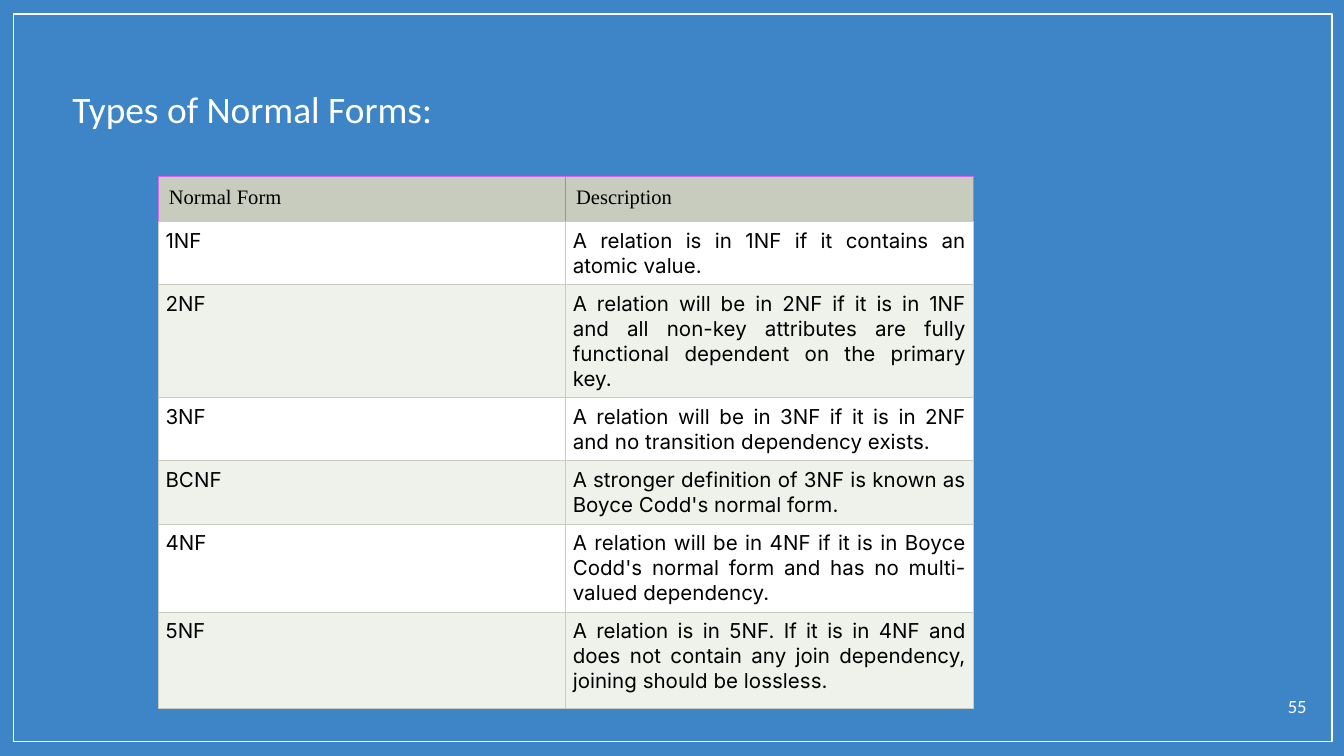
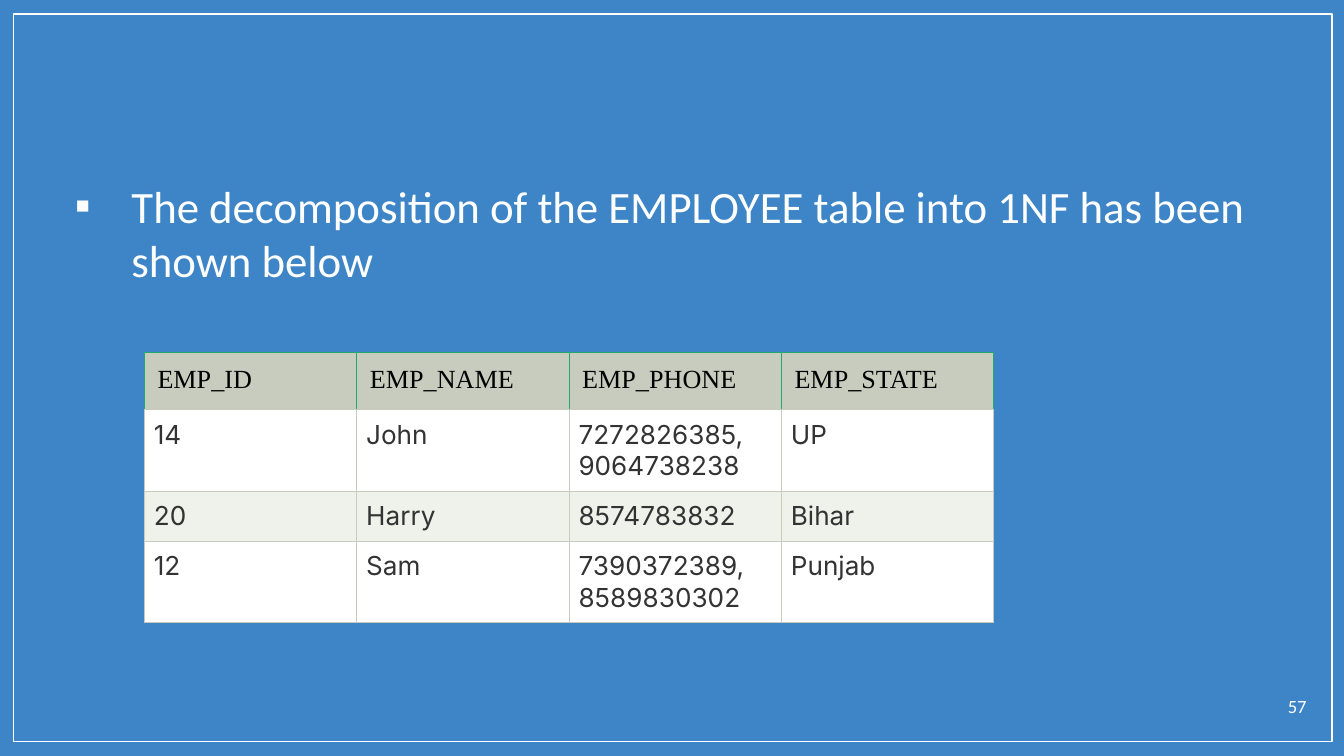
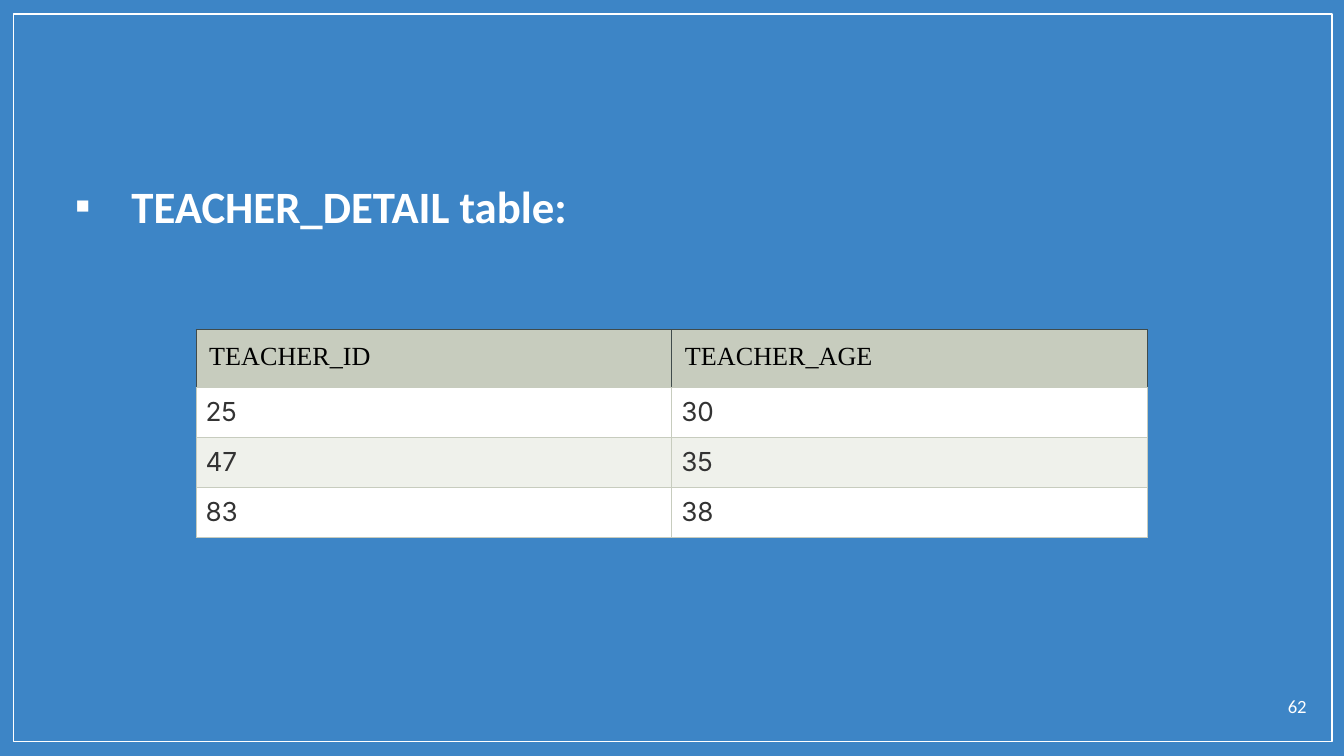
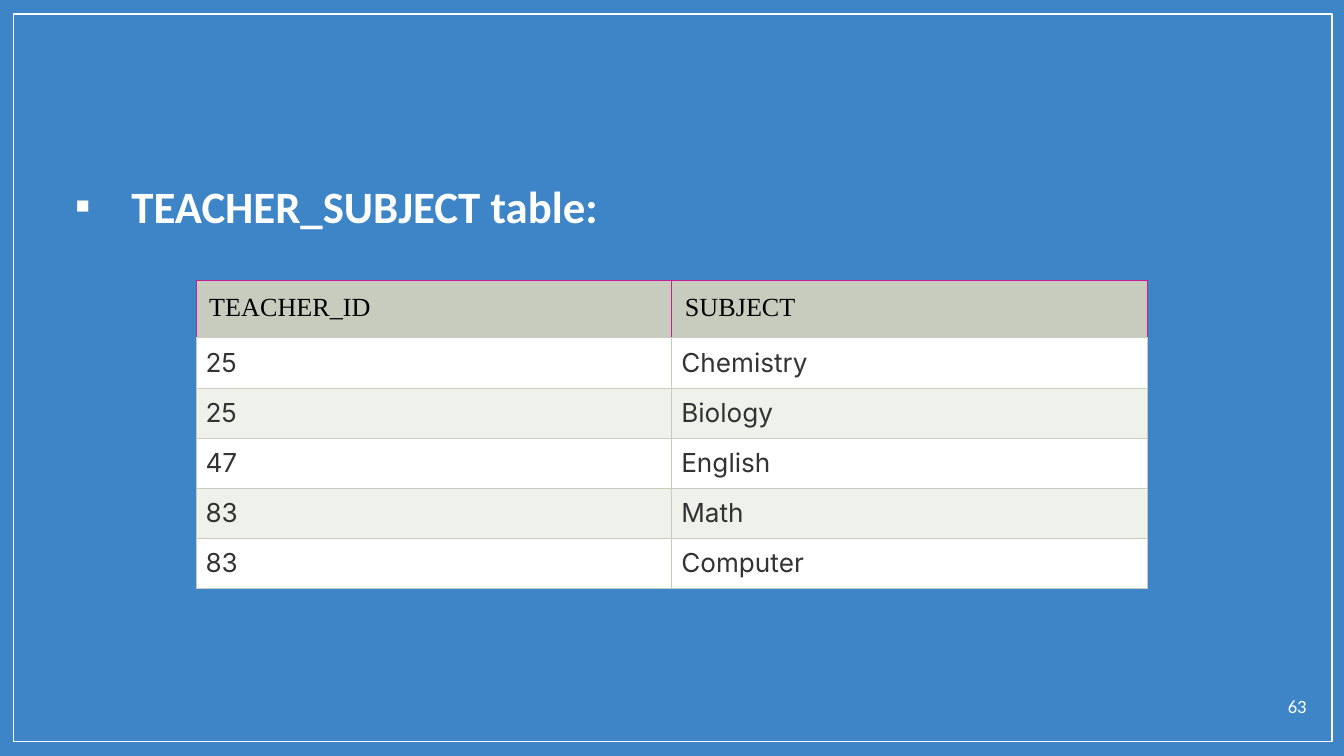
import pptx
import pptx.util
import pptx.dml.color
import pptx.enum.shapes
import pptx.enum.text
import pptx.oxml
import pptx.oxml.ns

Pt, Inches = pptx.util.Pt, pptx.util.Inches
RGB = pptx.dml.color.RGBColor.from_string
ALIGN = pptx.enum.text.PP_ALIGN
NS = pptx.oxml.ns.nsdecls("a")


class Theme:
    back, white, black, ink = "3D85C6", "FFFFFF", "000000", "333333"
    head, rows = "C7CCBE", ("FFFFFF", "EFF1EB")
    sans, serif, grid = "Calibri", "Times New Roman", "Inter"
    title, body, number = 20, 24, 10
    frame, border = 0.75, 0.6


prs = pptx.Presentation()
prs.slide_width = Inches(10)
prs.slide_height = int(prs.slide_width * 9 / 16)
COL, ROW = prs.slide_width / 100, prs.slide_height / 100
prs.slide_master.background.fill.solid()
prs.slide_master.background.fill.fore_color.rgb = RGB(Theme.back)


def write(p, text, color, **formats):
    p.text = text
    for r in p.runs:
        r.font.color.rgb = RGB(color)
        for name, value in formats.items():
            setattr(r.font, name, value)


def add_text(s, box, text, size, align=None, bold=None, bullet=False):
    x, y, w, h = box
    tf = s.shapes.add_textbox(int(x * COL), int(y * ROW), int(w * COL), int(h * ROW)).text_frame
    tf.word_wrap = True
    for side in ("left", "top", "right", "bottom"):
        setattr(tf, f"margin_{side}", Inches(0.1))
    p = tf.paragraphs[0]
    if bullet:
        pPr = p._p.get_or_add_pPr()
        pPr.set("marL", str(Inches(0.5)))
        pPr.set("indent", str(Inches(-0.42)))
        for xml in (f'<a:buClr {NS}><a:srgbClr val="{Theme.white}"/></a:buClr>',
                    f'<a:buFont {NS} typeface="{Theme.serif}"/>',
                    f'<a:buChar {NS} char="▪"/>'):
            pPr.append(pptx.oxml.parse_xml(xml))
    p.alignment = align
    write(p, text, Theme.white, name=Theme.sans, size=Pt(size), bold=bold)


title = dict(box=(4.4, 9.6, 90, 8), size=Theme.title)
body = dict(box=(3.8, 21.87, 90.7, 70.8), size=Theme.body, bullet=True)
small = dict(size=11, ink=Theme.black, head_pad=5.5, pad=3.75)
large = dict(size=14, ink=Theme.ink, head_pad=7, pad=5)

slides = [
    dict(number="55", text="Types of Normal Forms:", style=title,
         at=(11.8, 23.3), col=30.3, rows=[5.33, 7.29, 12.98, 7.29, 7.29, 10.13, 12.8],
         edge="D068E9", look=small,
         cells=[("Normal Form", "Description"),
                ("1NF", "A relation is in 1NF if it contains an atomic value."),
                ("2NF", "A relation will be in 2NF if it is in 1NF and all non-key attributes "
                        "are fully functional dependent on the primary key."),
                ("3NF", "A relation will be in 3NF if it is in 2NF and no transition "
                        "dependency exists."),
                ("BCNF", "A stronger definition of 3NF is known as Boyce Codd's normal form."),
                ("4NF", "A relation will be in 4NF if it is in Boyce Codd's normal form and "
                        "has no multi-valued dependency."),
                ("5NF", "A relation is in 5NF. If it is in 4NF and does not contain any join "
                        "dependency, joining should be lossless.")]),
    dict(number="57", style=body,
         text="The decomposition of the EMPLOYEE table into 1NF has been shown below",
         at=(10.75, 46.6), col=15.8, rows=[6.93, 9.6, 5.87, 9.6],
         edge="20A86E", look=large,
         cells=[("EMP_ID", "EMP_NAME", "EMP_PHONE", "EMP_STATE"),
                ("14", "John", "7272826385,\n9064738238", "UP"),
                ("20", "Harry", "8574783832", "Bihar"),
                ("12", "Sam", "7390372389,\n8589830302", "Punjab")]),
    dict(number="62", text="TEACHER_DETAIL table:", style=dict(body, bold=True),
         at=(14.6, 43.6), col=35.4, rows=[7.4] + [6.55] * 3,
         edge="404B4B", look=large,
         cells=[("TEACHER_ID", "TEACHER_AGE"), ("25", "30"), ("47", "35"), ("83", "38")]),
    dict(number="63", text="TEACHER_SUBJECT table:", style=dict(body, bold=True),
         at=(14.6, 37.1), col=35.4, rows=[7.4] + [6.55] * 5,
         edge="C81E94", look=large,
         cells=[("TEACHER_ID", "SUBJECT"), ("25", "Chemistry"), ("25", "Biology"),
                ("47", "English"), ("83", "Math"), ("83", "Computer")]),
]

for d in slides:
    s = prs.slides.add_slide(prs.slide_layouts[6])

    sp = s.shapes.add_shape(pptx.enum.shapes.MSO_SHAPE.RECTANGLE,
                            int(COL), int(1.87 * ROW), int(98.1 * COL), int(96.2 * ROW))
    sp.shadow.inherit = False
    sp.fill.background()
    sp.line.color.rgb = RGB(Theme.white)
    sp.line.width = Pt(Theme.frame)

    add_text(s, text=d["text"], **d["style"])
    add_text(s, (93.2, 90.4, 5, 5.7), d["number"], Theme.number, ALIGN.RIGHT)

    cells, look = d["cells"], d["look"]
    x, y = d["at"]
    n = len(cells[0])
    table = s.shapes.add_table(len(cells), n, int(x * COL), int(y * ROW),
                               int(n * d["col"] * COL), int(sum(d["rows"]) * ROW)).table
    table.first_row = table.horz_banding = False
    for column in table.columns:
        column.width = int(d["col"] * COL)
    for i, texts in enumerate(cells):
        table.rows[i].height = int(d["rows"][i] * ROW)
        header = i == 0
        pad = look["head_pad"] if header else look["pad"]
        for j, text in enumerate(texts):
            cell = table.cell(i, j)
            for side in ("left", "top", "right", "bottom"):
                setattr(cell, f"margin_{side}", Pt(pad))
            for side in "LRTB":
                color = d["edge"] if header and side != "B" else Theme.head
                cell._tc.get_or_add_tcPr().append(pptx.oxml.parse_xml(
                    f'<a:ln{side} {NS} w="{Pt(Theme.border)}"><a:solidFill>'
                    f'<a:srgbClr val="{color}"/></a:solidFill></a:ln{side}>'))
            cell.fill.solid()
            cell.fill.fore_color.rgb = RGB(Theme.head if header else Theme.rows[(i - 1) % 2])
            p = cell.text_frame.paragraphs[0]
            p.alignment = None if header else ALIGN.JUSTIFY
            write(p, text, Theme.black if header else look["ink"],
                  name=Theme.serif if header else Theme.grid, size=Pt(look["size"]))

prs.save("out.pptx")
